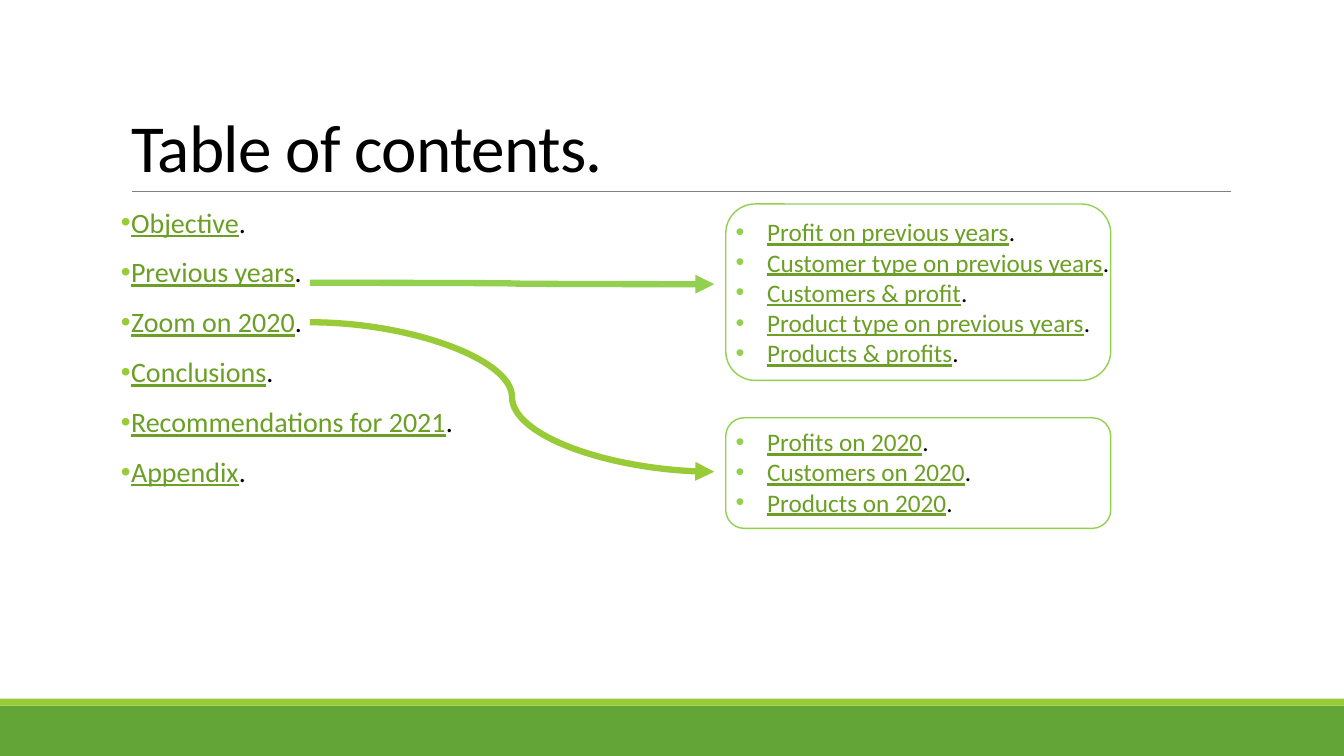
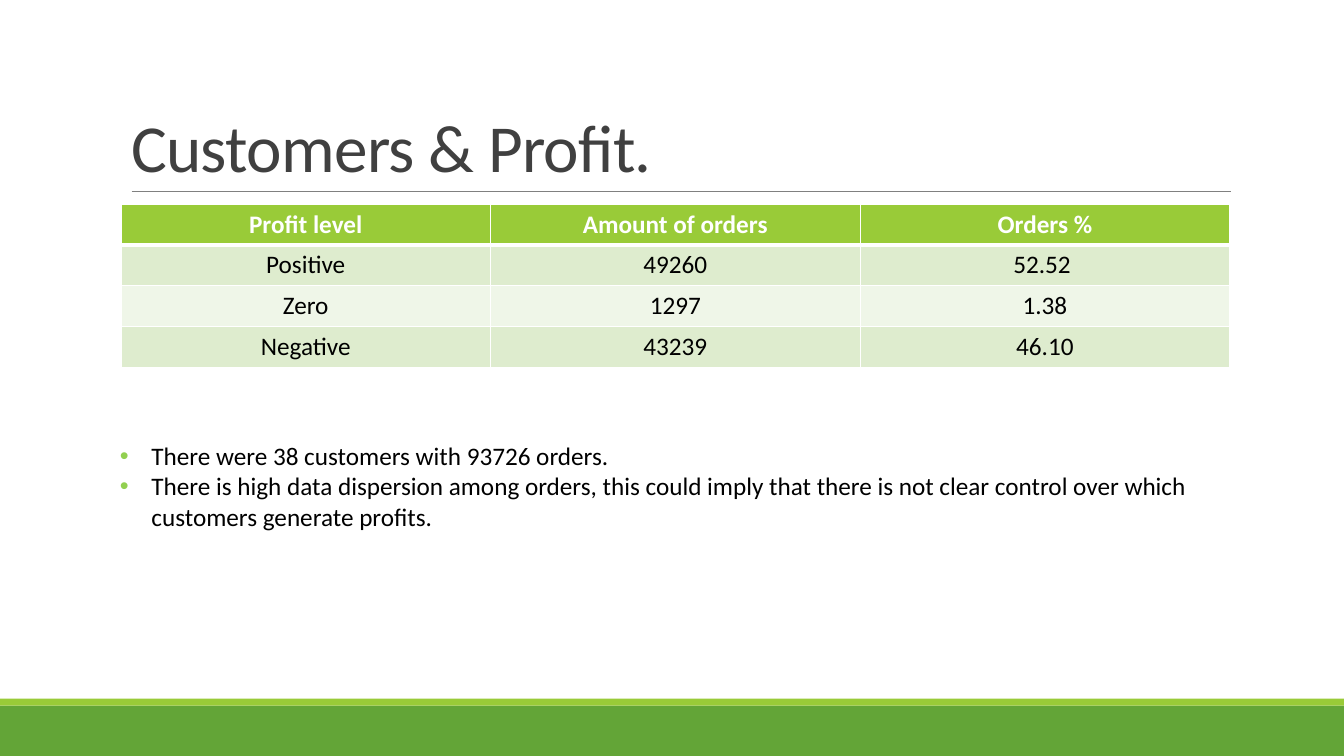
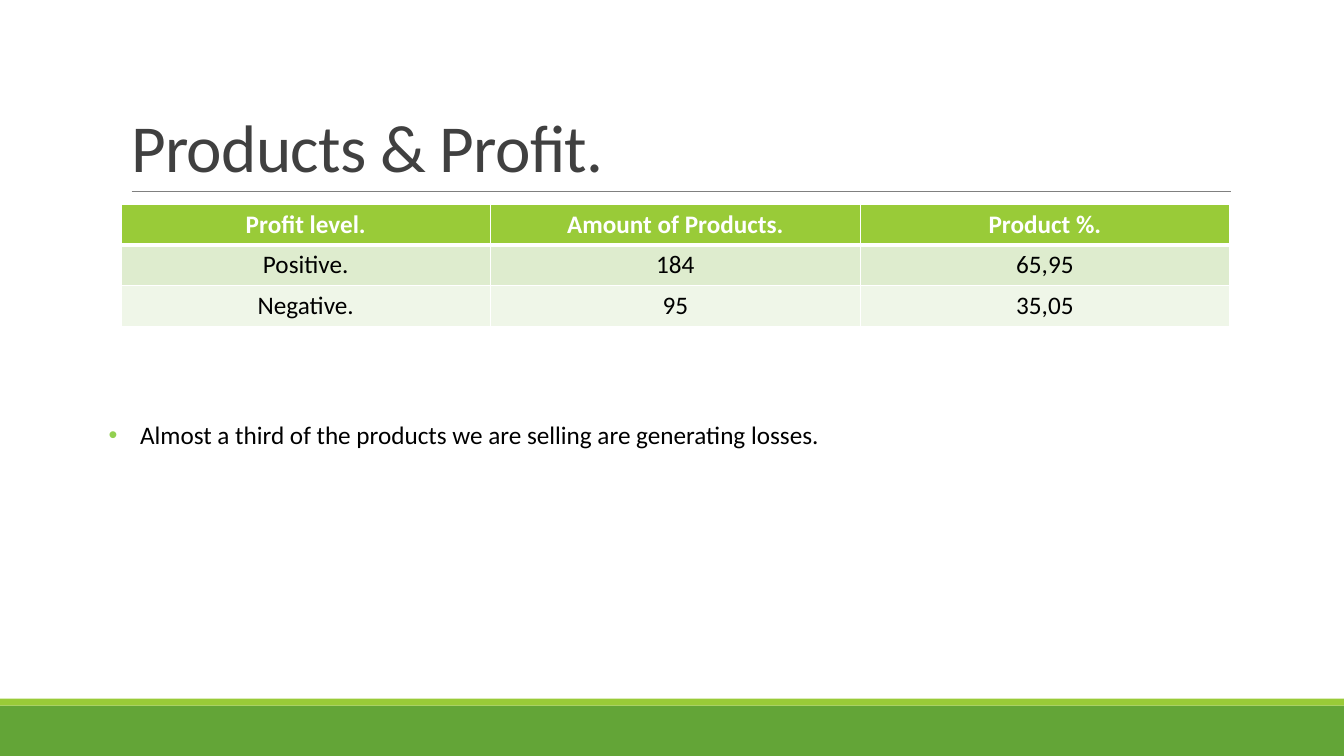
from lxml.etree import SubElement
from pptx import Presentation
from pptx.dml.color import RGBColor
from pptx.enum.shapes import MSO_CONNECTOR as Link, MSO_SHAPE as Shape
from pptx.enum.text import MSO_ANCHOR as Anchor, MSO_AUTO_SIZE as Fit, PP_ALIGN as Align
from pptx.oxml import parse_xml
from pptx.oxml.ns import nsdecls, qn
from pptx.util import Pt

# Colours and font
BLACK = RGBColor(0x00, 0x00, 0x00)
WHITE = RGBColor(0xFF, 0xFF, 0xFF)
DARK = RGBColor(0x40, 0x40, 0x40)
GREY = RGBColor(0x80, 0x80, 0x80)
GREEN = RGBColor(0x63, 0xA5, 0x37)
LIME = RGBColor(0x99, 0xCB, 0x38)
BRIGHT = RGBColor(0x92, 0xD0, 0x50)
LINK = RGBColor(0x6B, 0x9F, 0x25)
TINTS = RGBColor(0xDE, 0xEC, 0xCE), RGBColor(0xEF, 0xF6, 0xE8)
FONT = "Calibri"

# Page measures
WIDE, HIGH = 960, 540
LEFT, TOP, SPAN = 86.4, 145.7, 792
ROW = 29.2

# Content
TOPICS = ["Objective", "Previous years", "Zoom on 2020", "Conclusions",
          "Recommendations for 2021", "Appendix"]
# Topic boxes: frame top, frame height, text top, items
BOXES = [
    (145.7, 126, 151.2, ["Profit on previous years", "Customer type on previous years",
                         "Customers & profit", "Product type on previous years",
                         "Products & profits"]),
    (298.4, 79, 301, ["Profits on 2020", "Customers on 2020", "Products on 2020"]),
]
# Arrows: start height, end height, colour
ARROWS = [(202, 203, BRIGHT), (230.2, 337, LIME)]
# Table slides: title, rows, note place, notes
TABLES = [
    ("Customers & Profit.",
     [("Profit level", "Amount of orders", "Orders %"),
      ("Positive", "49260", "52.52 "),
      ("Zero", "1297", "1.38"),
      ("Negative", "43239", "46.10")],
     (78.6, 311, 805.6, 73),
     ["There were 38 customers with 93726 orders.",
      "There is high data dispersion among orders, this could imply that there is "
      "not clear control over which customers generate profits."]),
    ("Products & Profit.",
     [("Profit level.", "Amount of Products.", "Product %."),
      ("Positive.", "184", "65,95"),
      ("Negative.", "95", "35,05")],
     (70.5, 296, 808, 29),
     ["Almost a third of the products we are selling are generating losses."]),
]


def style(para, size, color, bold=False):
    font = para.font
    font.name, font.size, font.bold = FONT, Pt(size), bold
    font.color.rgb = color


def no_glow(line):
    SubElement(line.element.spPr, qn("a:effectLst"))


def add_frame(slide, layout):
    """Bands and title rule, placed on the layout for all slides."""
    parts = []
    for top, height, color in [(504, 36, GREEN), (499, 5, LIME)]:
        band = slide.shapes.add_shape(Shape.RECTANGLE, 0, Pt(top), Pt(WIDE), Pt(height))
        band.shadow.inherit = False
        band.fill.solid()
        band.fill.fore_color.rgb = color
        band.line.fill.background()
        parts.append(band)
    rule = slide.shapes.add_connector(Link.STRAIGHT, Pt(94), Pt(136.7), Pt(879), Pt(136.7))
    rule.line.color.rgb, rule.line.width = GREY, Pt(0.5)
    no_glow(rule)
    for num, part in enumerate(parts + [rule], 20):
        part.element.xpath(".//p:cNvPr")[0].set("id", str(num))
        layout.shapes.element.append(part.element)


def add_slide(deck, text, color):
    slide = deck.slides.add_slide(deck.slide_layouts[5])
    title = slide.shapes.title
    title.left, title.top, title.width, title.height = Pt(LEFT), Pt(22.5), Pt(SPAN), Pt(114.2)
    frame = title.text_frame
    frame.text, frame.word_wrap = text, True
    frame.auto_size, frame.vertical_anchor = Fit.NONE, Anchor.BOTTOM
    para = frame.paragraphs[0]
    para.alignment, para.line_spacing = Align.LEFT, 0.85
    style(para, 48, color)
    para.runs[0].font.element.set("spc", "-50") if hasattr(para.runs[0].font, "element") \
        else para.runs[0]._r.get_or_add_rPr().set("spc", "-50")
    return slide


def add_list(slide, place, items, size=18, indent=22.5, color=BRIGHT, link=False):
    """Bulleted text; linked items are underlined and end in a black stop."""
    box = slide.shapes.add_textbox(*map(Pt, place))
    frame = box.text_frame
    frame.word_wrap = True
    for num, item in enumerate(items):
        para = frame.paragraphs[0] if num == 0 else frame.add_paragraph()
        props = para._p.get_or_add_pPr()
        props.set("marL", str(Pt(indent)))
        props.set("indent", str(-Pt(indent)))
        tint = SubElement(props, qn("a:buClr"))
        SubElement(tint, qn("a:srgbClr")).set("val", str(color))
        SubElement(props, qn("a:buFont")).set("typeface", "Arial")
        SubElement(props, qn("a:buChar")).set("char", "•")
        style(para, size, BLACK)
        run = para.add_run()
        run.text = item
        if link:
            run.font.color.rgb, run.font.underline = LINK, True
            para.add_run().text = "."
    return frame


def add_borders(cell, row):
    props = cell._tc.get_or_add_tcPr()
    widths = {"L": 1, "R": 1, "T": 3 if row == 1 else 1, "B": 3 if row == 0 else 1}
    for num, (side, width) in enumerate(widths.items()):
        props.insert(num, parse_xml(
            f'<a:ln{side} {nsdecls("a")} w="{Pt(width)}"><a:solidFill>'
            f'<a:srgbClr val="{WHITE}"/></a:solidFill></a:ln{side}>'))


def add_grid(slide, rows):
    cols = len(rows[0])
    table = slide.shapes.add_table(len(rows), cols, Pt(LEFT), Pt(TOP),
                                   Pt(SPAN), Pt(ROW * len(rows))).table
    for r, row in enumerate(rows):
        for c, text in enumerate(row):
            cell = table.cell(r, c)
            cell.text = text
            cell.fill.solid()
            cell.fill.fore_color.rgb = TINTS[(r - 1) % 2] if r else LIME
            para = cell.text_frame.paragraphs[0]
            para.alignment = Align.CENTER
            style(para, 18, BLACK if r else WHITE, r == 0)
            add_borders(cell, r)


def add_arrow(slide, start, end, color):
    arrow = slide.shapes.add_connector(Link.CURVE, Pt(221.3), Pt(start), Pt(510.2), Pt(end))
    arrow.line.color.rgb, arrow.line.width = color, Pt(4.5)
    SubElement(arrow.get_or_add_ln(), qn("a:tailEnd")).set("type", "triangle")
    no_glow(arrow)


def main():
    deck = Presentation()
    deck.slide_width, deck.slide_height = Pt(WIDE), Pt(HIGH)

    # Table of contents
    slide = add_slide(deck, "Table of contents.", BLACK)
    add_frame(slide, deck.slide_layouts[5])
    topics = add_list(slide, (LEFT, TOP, 284, 316.8), TOPICS, 20, 7.2, LIME, True)
    topics.margin_left = topics.margin_right = 0
    for para in topics.paragraphs:
        para.line_spacing, para.space_before, para.space_after = 0.9, Pt(12), Pt(2)
    for top, height, start, items in BOXES:
        add_list(slide, (518.4, start, 308, height - 9), items, link=True)
        box = slide.shapes.add_shape(Shape.ROUNDED_RECTANGLE, Pt(518.4), Pt(top),
                                     Pt(275), Pt(height))
        box.shadow.inherit = False
        box.fill.background()
        box.line.color.rgb, box.line.width = BRIGHT, Pt(1)
    for arrow in ARROWS:
        add_arrow(slide, *arrow)

    # Profit tables
    for title, rows, place, notes in TABLES:
        slide = add_slide(deck, title, DARK)
        add_grid(slide, rows)
        add_list(slide, place, notes)

    deck.save("out.pptx")


if __name__ == "__main__":
    main()
